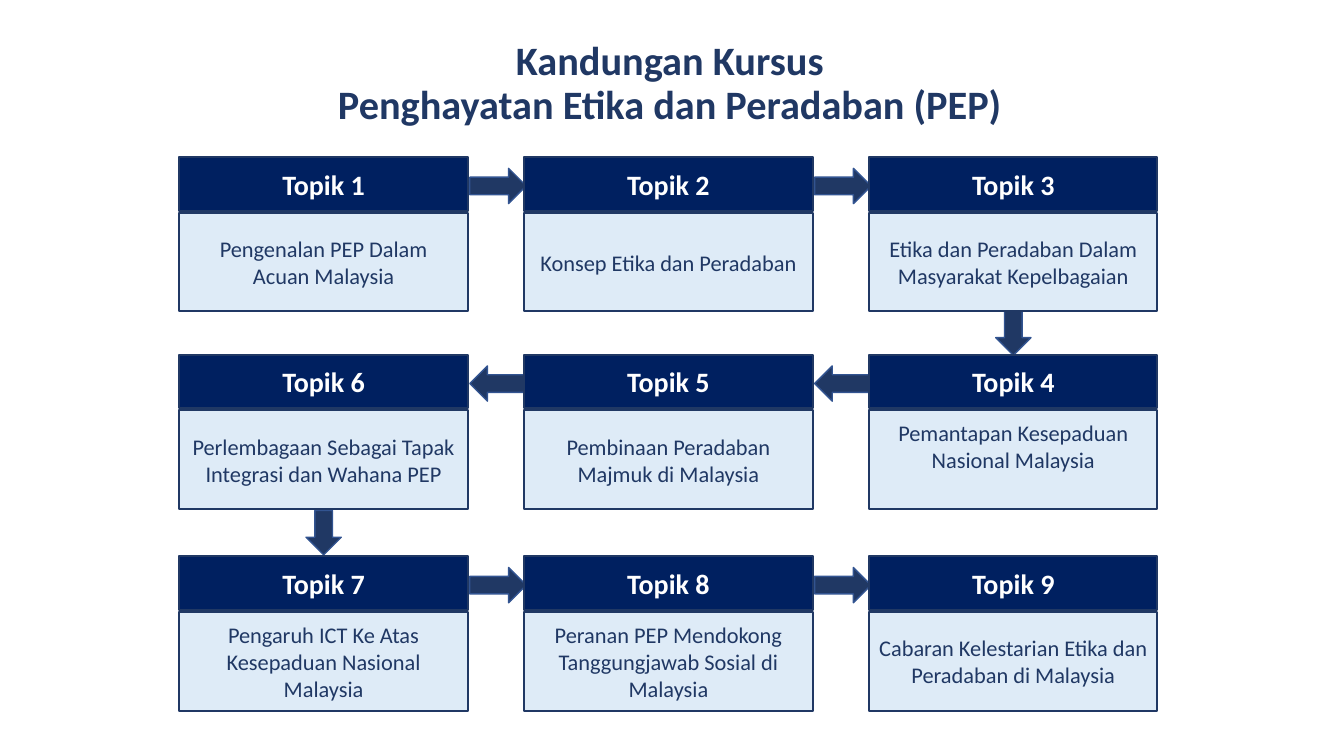
"""Build the course content slide: nine topics in a winding flow."""
from pptx import Presentation, util as u
from pptx.dml.color import RGBColor
from pptx.enum import shapes, text

TITLE = "Kandungan Kursus\vPenghayatan Etika dan Peradaban (PEP)"
TOPICS = [
    "Pengenalan PEP Dalam Acuan Malaysia",
    "Konsep Etika dan Peradaban",
    "Etika dan Peradaban Dalam Masyarakat Kepelbagaian",
    "Pemantapan Kesepaduan Nasional Malaysia",
    "Pembinaan Peradaban Majmuk di Malaysia",
    "Perlembagaan Sebagai Tapak Integrasi dan Wahana PEP",
    "Pengaruh ICT Ke Atas Kesepaduan Nasional Malaysia",
    "Peranan PEP Mendokong Tanggungjawab Sosial di Malaysia",
    "Cabaran Kelestarian Etika dan Peradaban di Malaysia",
]
RAISED_TOPIC = 4
NAVY, INK, PALE, WHITE, EDGE = "002060", "203864", "DEEBF7", "FFFFFF", "325491"

COLUMNS = 3
LEFT, PITCH, CARD_W = 1.78, 3.42, 2.86
ROW_TOPS = [1.56, 3.52, 5.52]
HEAD_H, BODY_DROP, BODY_H = 0.53, 0.55, 0.98
ARROW_THICK, DOWN_LENGTH = 0.35, 0.44


def color(value):
    return RGBColor.from_string(value)


def add_block(slide, kind, box, fill, line, line_width):
    block = slide.shapes.add_shape(kind, *map(u.Inches, box))
    block.shadow.inherit = False
    block.fill.solid()
    block.fill.fore_color.rgb = color(fill)
    block.line.color.rgb = color(line)
    block.line.width = u.Pt(line_width)
    return block


def write(holder, words, size, ink, bold=False):
    frame = holder.text_frame
    frame.word_wrap = True
    frame.vertical_anchor = text.MSO_ANCHOR.MIDDLE
    frame.text = words
    paragraph = frame.paragraphs[0]
    paragraph.alignment = text.PP_ALIGN.CENTER
    for run in paragraph.runs:
        run.font.name = "Calibri"
        run.font.size = u.Pt(size)
        run.font.bold = bold
        run.font.color.rgb = color(ink)
    return frame


def card_corner(index):
    row, step = divmod(index, COLUMNS)
    column = COLUMNS - 1 - step if row % 2 else step
    return LEFT + column * PITCH, ROW_TOPS[row]


def add_arrow(slide, index):
    left, top = card_corner(index)
    next_left, next_top = card_corner(index + 1)
    if next_top > top:
        kind = shapes.MSO_SHAPE.DOWN_ARROW
        bottom = top + BODY_DROP + BODY_H
        box = (left + (CARD_W - ARROW_THICK) / 2,
               (bottom + next_top - DOWN_LENGTH) / 2, ARROW_THICK, DOWN_LENGTH)
    else:
        forward = next_left > left
        kind = shapes.MSO_SHAPE.RIGHT_ARROW if forward else shapes.MSO_SHAPE.LEFT_ARROW
        box = (min(left, next_left) + CARD_W + 0.02,
               top + (HEAD_H - ARROW_THICK) / 2 + 0.02, PITCH - CARD_W, ARROW_THICK)
    add_block(slide, kind, box, INK, EDGE, 1)


def add_card(slide, index, topic):
    left, top = card_corner(index)
    number = index + 1
    rectangle = shapes.MSO_SHAPE.RECTANGLE
    body = add_block(slide, rectangle, (left, top + BODY_DROP, CARD_W, BODY_H), PALE, INK, 1.5)
    frame = write(body, topic, 16, INK)
    if number == RAISED_TOPIC:
        frame.margin_bottom = u.Inches(0.32)
    head = add_block(slide, rectangle, (left, top, CARD_W, HEAD_H), NAVY, INK, 1.5)
    write(head, f"Topik {number}", 20, WHITE, True)


def main():
    deck = Presentation()
    deck.slide_width, deck.slide_height = u.Inches(13.33), u.Inches(7.5)
    slide = deck.slides.add_slide(deck.slide_layouts[6])
    heading = slide.shapes.add_textbox(*map(u.Inches, (1.78, 0.48, 9.73, 0.71)))
    write(heading, TITLE, 28.8, INK, True).paragraphs[0].line_spacing = 0.9
    for index in range(len(TOPICS) - 1):
        add_arrow(slide, index)
    for index, topic in enumerate(TOPICS):
        add_card(slide, index, topic)
    deck.save("out.pptx")


if __name__ == "__main__":
    main()
